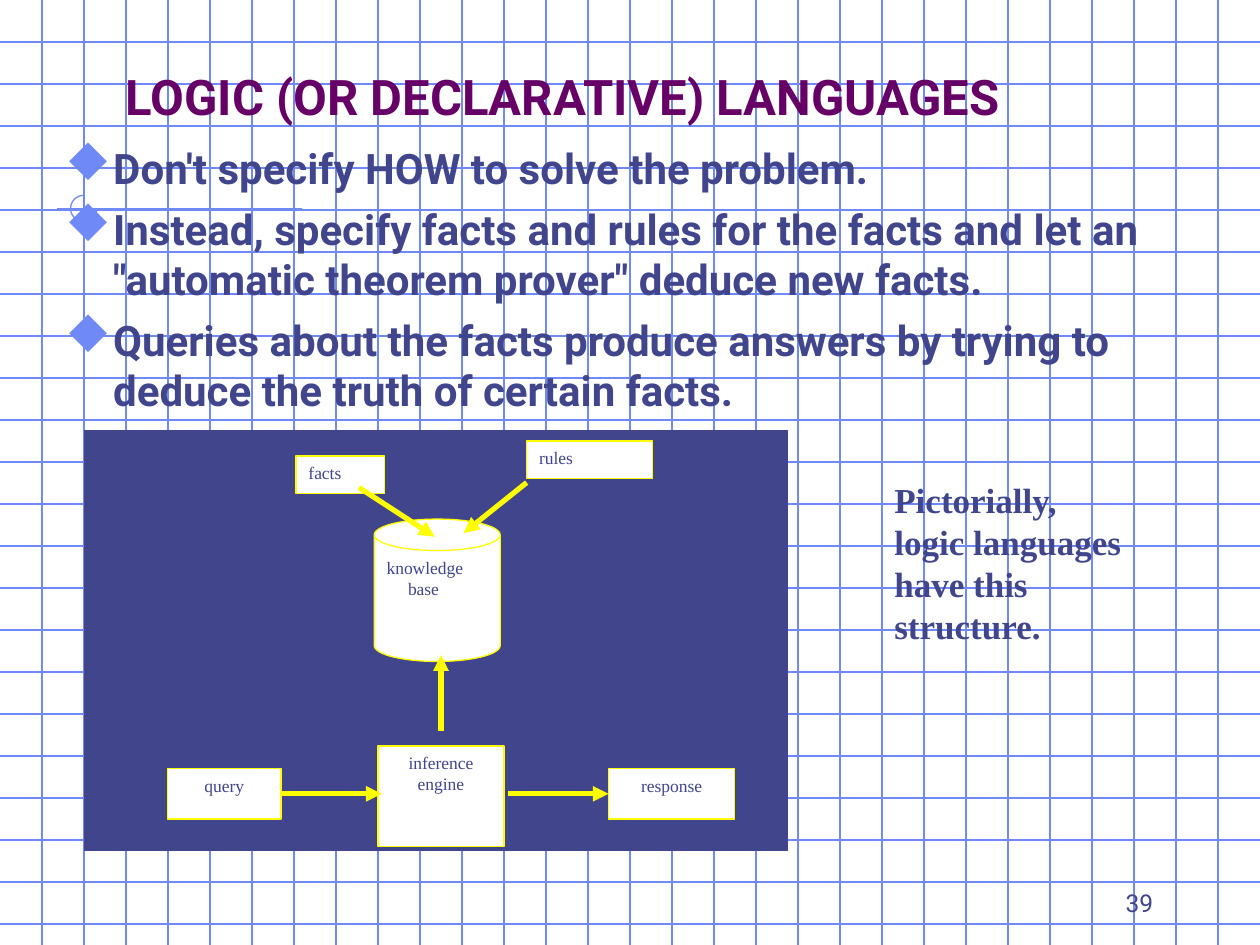
import pptx
import pptx.util
import pptx.dml.color
import pptx.enum.shapes
import pptx.enum.text
import pptx.oxml.ns
from lxml import etree

Inches = pptx.util.Inches
Pt = pptx.util.Pt
SHAPE = pptx.enum.shapes.MSO_SHAPE
ALIGN = pptx.enum.text.PP_ALIGN
ANCHOR = pptx.enum.text.MSO_ANCHOR
qn = pptx.oxml.ns.qn

GRID, ACCENT = "7089F8", "6F89F7"
NAVY, PURPLE, YELLOW, WHITE = "40458C", "660066", "FFFF00", "FFFFFF"
SERIF, SANS = "Times New Roman", "Roboto"
GRID_STEP = 1 / 3

TITLE = {"name": SANS, "size": Pt(28), "bold": True}
BODY = {"name": SANS, "size": Pt(24), "bold": True}
NOTE = {"name": SERIF, "size": Pt(20), "bold": True}
NODE = {"name": SERIF, "size": Pt(10)}
NUMBER = {"name": SANS, "size": Pt(14)}

POINTS = [
    "Don't specify HOW to solve the problem.",
    "Instead, specify facts and rules for the facts and let an "
    "\"automatic theorem prover\" deduce new facts.",
    "Queries about the facts produce answers by trying to "
    "deduce the truth of certain facts.",
]


def rgb(hex_color):
    return pptx.dml.color.RGBColor.from_string(hex_color)


def style_line(line, color, width):
    line.color.rgb = rgb(color)
    line.width = Pt(width)


def add_line(slide, start, end, color=GRID, width=0.75, arrow=False):
    line = slide.shapes.add_connector(
        pptx.enum.shapes.MSO_CONNECTOR.STRAIGHT,
        *(Inches(v) for v in (*start, *end)))
    style_line(line.line, color, width)
    if arrow:
        etree.SubElement(line.line._get_or_add_ln(), qn("a:tailEnd"), type="triangle")
    etree.SubElement(line._element.spPr, qn("a:effectLst"))


def add_arrow(slide, start, end):
    add_line(slide, start, end, YELLOW, 3, arrow=True)


def add_bullet(paragraph):
    props = paragraph._p.get_or_add_pPr()
    props.set("marL", str(Inches(0.38)))
    props.set("indent", str(-Inches(0.38)))
    color = etree.SubElement(props, qn("a:buClr"))
    etree.SubElement(color, qn("a:srgbClr"), val=ACCENT)
    etree.SubElement(props, qn("a:buSzPct"), val="110000")
    # The letter u is the solid diamond of this symbol font
    etree.SubElement(props, qn("a:buFont"), typeface="Wingdings",
                     pitchFamily="2", charset="2")
    etree.SubElement(props, qn("a:buChar"), char="u")


def write(shape, lines, font, color=NAVY, align=ALIGN.LEFT,
          anchor=ANCHOR.TOP, bullets=False):
    frame = shape.text_frame
    frame.word_wrap = True
    frame.vertical_anchor = anchor
    for index, text in enumerate(lines):
        paragraph = frame.add_paragraph() if index else frame.paragraphs[0]
        paragraph.text = text
        paragraph.alignment = align
        if bullets:
            if index:
                paragraph.space_before = Pt(6)
            add_bullet(paragraph)
        for key, value in font.items():
            setattr(paragraph.font, key, value)
        paragraph.font.color.rgb = rgb(color)
    return frame


def add_text(slide, box, lines, font, **layout):
    return write(slide.shapes.add_textbox(*map(Inches, box)), lines, font, **layout)


def add_shape(slide, kind, box, fill, line):
    shape = slide.shapes.add_shape(kind, *map(Inches, box))
    shape.shadow.inherit = False
    if fill:
        shape.fill.solid()
        shape.fill.fore_color.rgb = rgb(fill)
    else:
        shape.fill.background()
    style_line(shape.line, line, 0.75)
    return shape


def add_node(slide, box, lines, align=ALIGN.CENTER, kind=SHAPE.RECTANGLE):
    return write(add_shape(slide, kind, box, WHITE, YELLOW), lines, NODE, align=align)


def add_background(slide):
    # Graph paper
    for row in range(1, 23):
        add_line(slide, (0, row * GRID_STEP), (10, row * GRID_STEP))
    for column in range(1, 30):
        add_line(slide, (column * GRID_STEP, 0), (column * GRID_STEP, 7.5))
    # Accent lines with a three-quarter ring where they cross
    add_line(slide, (9.67, 0), (9.67, 2.58), ACCENT)
    add_line(slide, (2.4, 1.66), (0.45, 1.66), ACCENT)
    add_line(slide, (0.67, 1.55), (0.67, 4.09), ACCENT)
    ring = add_shape(slide, SHAPE.ARC, (0.56, 1.55, 0.21, 0.21), None, ACCENT)
    ring.adjustments[0] = 0
    ring.adjustments[1] = 162  # 270 degrees


def add_diagram(slide):
    add_shape(slide, SHAPE.RECTANGLE, (0.67, 3.42, 5.58, 3.33), NAVY, NAVY)

    # Knowledge base and what feeds it
    knowledge = add_node(slide, (2.97, 4.12, 1, 1.13), ["knowledge", "base"],
                         ALIGN.LEFT, SHAPE.CAN)
    knowledge.paragraphs[1]._p.get_or_add_pPr().set("marL", str(Inches(0.17)))
    add_node(slide, (4.18, 3.5, 1, 0.3), ["rules"], ALIGN.LEFT)
    add_node(slide, (2.35, 3.62, 0.7, 0.3), ["facts"], ALIGN.LEFT)
    add_arrow(slide, (4.18, 3.83), (3.68, 4.23))
    add_arrow(slide, (2.85, 3.87), (3.45, 4.26))

    # Query, inference engine and response
    add_node(slide, (3, 5.92, 1, 0.8), ["inference", "engine"])
    add_arrow(slide, (3.5, 5.8), (3.5, 5.2))
    add_arrow(slide, (2.13, 6.3), (3.03, 6.3))
    add_arrow(slide, (4.03, 6.3), (4.83, 6.3))
    add_node(slide, (1.33, 6.1, 0.9, 0.4), ["query"])
    add_node(slide, (4.83, 6.1, 1, 0.4), ["response"])


def main():
    deck = pptx.Presentation()
    deck.slide_width, deck.slide_height = Inches(10), Inches(7.5)
    slide = deck.slides.add_slide(deck.slide_layouts[6])

    add_background(slide)
    add_text(slide, (0.9, 0.45, 8.03, 0.59), ["LOGIC (OR DECLARATIVE) LANGUAGES"],
             TITLE, color=PURPLE, anchor=ANCHOR.BOTTOM)
    add_text(slide, (0.42, 1.08, 9.25, 6), POINTS, BODY, bullets=True)
    add_text(slide, (7, 3.75, 2, 1.44),
             ["Pictorially, logic languages have this structure."], NOTE)
    add_diagram(slide)
    add_text(slide, (7.17, 6.83, 2.08, 0.5), ["39"], NUMBER,
             align=ALIGN.RIGHT, anchor=ANCHOR.BOTTOM)

    deck.save("out.pptx")


if __name__ == "__main__":
    main()
